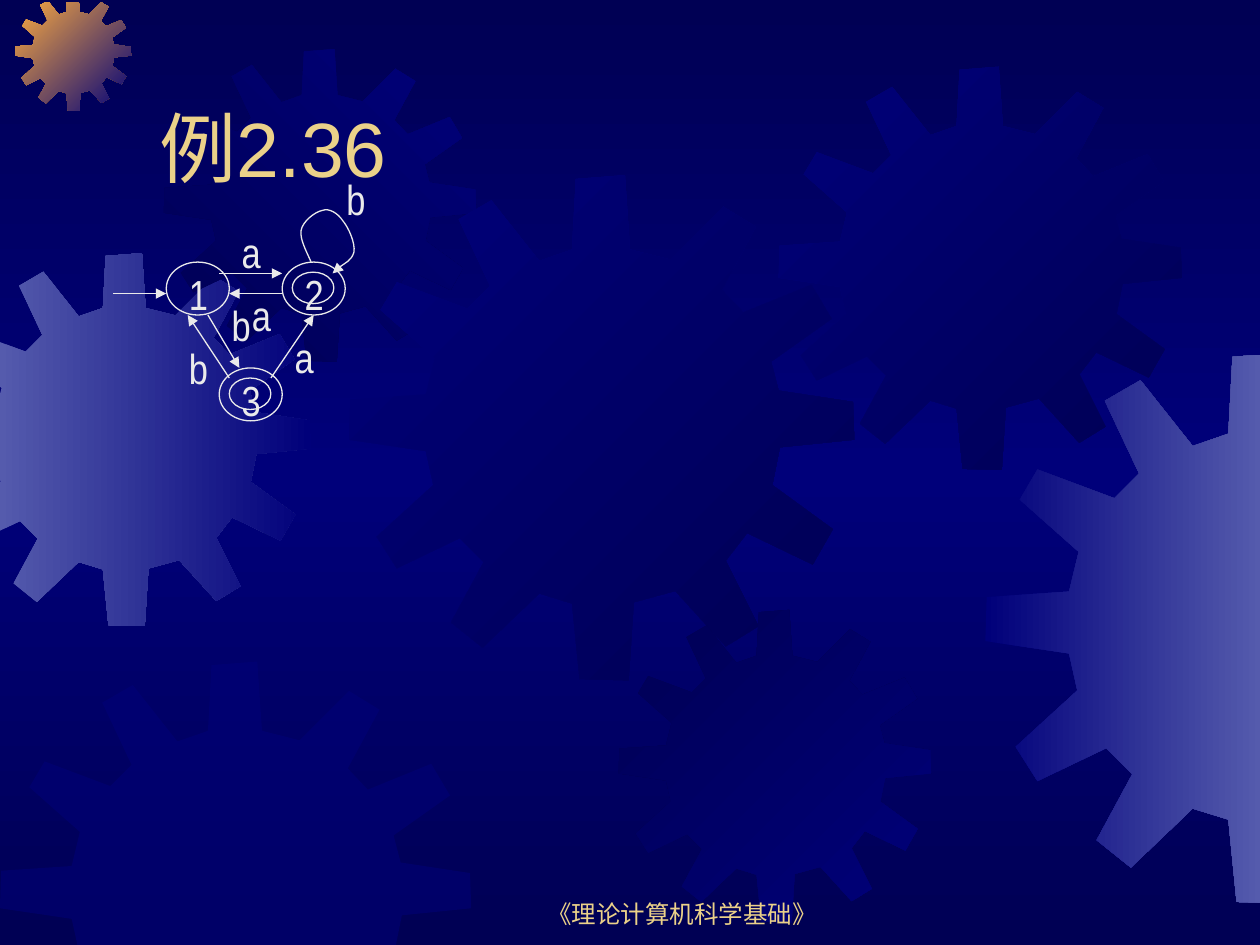
"""Build the slide with the three-state automaton of example 2.36 over a gear backdrop."""
import copy
from dataclasses import dataclass
from typing import Any, Optional

import lxml.etree
import pptx
import pptx.dml.color
import pptx.enum.shapes
import pptx.enum.text
import pptx.oxml.ns
import pptx.util

Inches = pptx.util.Inches
qn = pptx.oxml.ns.qn
Point = tuple[float, float]

NIGHT, NAVY, HAZE, ORANGE = "000054", "00007A", "555BAD", "FCAB40"
GOLD, CHALK = "EBD189", "EAEAEA"
BOUNDS = (-0.01, 0.02, 10.01, 7.54)
OUTLINE_SIZE = 401
OUTLINE: list[Point] = [
    (255, 67), (223, 59), (219, 0), (180, 3), (177, 59), (151, 68),
    (113, 20), (87, 35), (112, 88), (94, 106), (38, 85), (25, 107),
    (68, 145), (61, 174), (1, 178), (0, 210), (61, 219), (67, 246),
    (22, 287), (38, 312), (88, 288), (107, 307), (81, 355), (106, 375),
    (151, 332), (177, 340), (183, 400), (222, 401), (226, 339), (259, 330),
    (299, 374), (325, 358), (299, 306), (316, 284), (368, 309), (384, 281),
    (336, 246), (342, 216), (401, 210), (400, 180), (341, 171), (335, 148),
    (383, 114), (367, 87), (313, 109), (296, 91), (323, 41), (297, 25),
]


@dataclass
class Gear:
    left: float
    top: float
    size: float
    first: str
    last: Optional[str] = None
    angle: int = 0


@dataclass
class State:
    name: str
    left: float
    top: float
    accepting: bool


@dataclass
class Label:
    text: str
    left: float
    top: float
    width: float = 0.5
    height: float = 0.5


GEARS = [
    Gear(-0.49, 2.01, 2.96, HAZE, NAVY),
    Gear(0.12, -0.04, 0.92, ORANGE, NAVY, 45),
    Gear(1.3, 0.39, 2.48, NIGHT, NAVY, 315),
    Gear(2.77, 1.39, 4.01, NAVY, NIGHT, 45),
    Gear(0, 5.25, 3.74, NAVY),
    Gear(4.91, 4.84, 2.48, NIGHT, NAVY, 45),
    Gear(6.18, 0.53, 3.2, NAVY, NIGHT, 45),
    Gear(7.82, 2.8, 4.37, NAVY, HAZE),
]
STATES = [State("1", 1.32, 2.08, False), State("3", 1.74, 2.92, True), State("2", 2.24, 2.08, True)]
ARROWS = [
    ((0.9, 2.33), (1.32, 2.33)), ((1.74, 2.17), (2.24, 2.17)),
    ((2.24, 2.33), (1.82, 2.33)), ((1.65, 2.5), (1.9, 2.92)),
    ((1.82, 3), (1.49, 2.5)), ((2.15, 3), (2.49, 2.5)),
]
LOOP: list[Point] = [
    (2.47, 2.08), (2.43, 1.99), (2.38, 1.9), (2.39, 1.83),
    (2.4, 1.76), (2.5, 1.68), (2.56, 1.67), (2.61, 1.65), (2.68, 1.69), (2.72, 1.75),
    (2.77, 1.81), (2.82, 1.93), (2.81, 2), (2.79, 2.07), (2.65, 2.14), (2.64, 2.17),
]
LABELS = [
    Label("a", 1.82, 1.75), Label("a", 1.9, 2.25), Label("a", 2.24, 2.58),
    Label("b", 2.65, 1.33), Label("b", 1.74, 2.33), Label("b", 1.4, 2.67),
]
LABEL_FONT = {"name": "Arial Narrow", "size": pptx.util.Pt(24)}


def color(value: str) -> pptx.dml.color.RGBColor:
    return pptx.dml.color.RGBColor.from_string(value)


def clip(points: list[Point], axis: int, limit: float, sign: int) -> list[Point]:
    kept: list[Point] = []
    for start, end in zip(points[-1:] + points[:-1], points):
        start_in, end_in = (sign * (point[axis] - limit) >= 0 for point in (start, end))
        if start_in != end_in:
            share = (limit - start[axis]) / (end[axis] - start[axis])
            kept.append((start[0] + share * (end[0] - start[0]), start[1] + share * (end[1] - start[1])))
        if end_in:
            kept.append(end)
    return kept


def fill_gradient(fill: Any, colors: tuple[str, str], angle: int) -> None:
    fill.gradient()
    fill.gradient_angle = (360 - angle) % 360
    for stop, position, value in zip(fill.gradient_stops, (0, 1), colors):
        stop.position = position
        stop.color.rgb = color(value)


def draw_outline(shapes: Any, points: list[Point], close: bool) -> Any:
    corners = [(Inches(x), Inches(y)) for x, y in points]
    builder = shapes.build_freeform(*corners[0])
    builder.add_line_segments(corners[1:], close=close)
    shape = builder.convert_to_shape()
    shape.shadow.inherit = False
    return shape


def draw_gear(shapes: Any, gear: Gear) -> None:
    scale = gear.size / OUTLINE_SIZE
    points = [(gear.left + x * scale, gear.top + y * scale) for x, y in OUTLINE]
    for index, limit in enumerate(BOUNDS):
        points = clip(points, index % 2, limit, 1 if index < 2 else -1)
    shape = draw_outline(shapes, points, True)
    shape.line.fill.background()
    if gear.last:
        fill_gradient(shape.fill, (gear.first, gear.last), gear.angle)
    else:
        shape.fill.solid()
        shape.fill.fore_color.rgb = color(gear.first)
        tint = next(shape.element.spPr.iter(qn("a:srgbClr")))
        lxml.etree.SubElement(tint, qn("a:alpha"), val="50000")


def style_line(shape: Any, arrow: bool) -> None:
    shape.line.color.rgb = color(CHALK)
    shape.line.width = pptx.util.Pt(0.75)
    if arrow:
        lxml.etree.SubElement(shape.element.spPr.find(qn("a:ln")), qn("a:tailEnd"), type="triangle")


def draw_ellipse(shapes: Any, left: float, top: float, width: float, height: float) -> None:
    shape = shapes.add_shape(
        pptx.enum.shapes.MSO_SHAPE.OVAL, Inches(left), Inches(top), Inches(width), Inches(height))
    shape.shadow.inherit = False
    shape.fill.background()
    style_line(shape, False)


def draw_arrow(shapes: Any, start: Point, end: Point) -> None:
    ends = [Inches(value) for value in start + end]
    connector = shapes.add_connector(pptx.enum.shapes.MSO_CONNECTOR.STRAIGHT, *ends)
    style_line(connector, True)
    lxml.etree.SubElement(connector.element.spPr, qn("a:effectLst"))


def draw_loop(shapes: Any) -> None:
    shape = draw_outline(shapes, LOOP, False)
    shape.fill.background()
    style_line(shape, True)
    segments = list(shape.element.iter(qn("a:lnTo")))
    for index in range(0, len(segments), 3):
        curve = lxml.etree.Element(qn("a:cubicBezTo"))
        segments[index].addprevious(curve)
        for segment in segments[index:index + 3]:
            curve.append(segment[0])
            segment.getparent().remove(segment)


def draw_text(shapes: Any, label: Label, font: dict[str, Any], tone: str, frame: dict[str, Any],
              align: Any = pptx.enum.text.PP_ALIGN.LEFT) -> None:
    box = shapes.add_textbox(
        Inches(label.left), Inches(label.top), Inches(label.width), Inches(label.height))
    for name, value in {"word_wrap": True, **frame}.items():
        setattr(box.text_frame, name, value)
    para = box.text_frame.paragraphs[0]
    para.alignment = align
    span = para.add_run()
    span.text = label.text
    for name, value in font.items():
        setattr(span.font, name, value)
    span.font.color.rgb = color(tone)


def draw_automaton(shapes: Any) -> None:
    grow = {"auto_size": pptx.enum.text.MSO_AUTO_SIZE.SHAPE_TO_FIT_TEXT}
    for state in STATES:
        draw_ellipse(shapes, state.left, state.top, 0.5, 0.42)
        name = Label(state.name, state.left + 0.08, state.top, 0.58)
        draw_text(shapes, name, LABEL_FONT, CHALK, grow)
        if state.accepting:
            draw_ellipse(shapes, state.left + 0.08, state.top + 0.08, 0.33, 0.25)
    for start, end in ARROWS:
        draw_arrow(shapes, start, end)
    draw_loop(shapes)
    for label in LABELS:
        draw_text(shapes, label, LABEL_FONT, CHALK, grow)


def main() -> None:
    deck = pptx.Presentation()
    deck.slide_width, deck.slide_height = Inches(10), Inches(7.5)
    page = deck.slides.add_slide(deck.slide_layouts[6])
    fill_gradient(page.background.fill, (NIGHT, NIGHT), 90)
    first_stop = next(page.element.iter(qn("a:gs")))
    first_stop.addnext(copy.deepcopy(first_stop))
    middle = page.background.fill.gradient_stops[1]
    middle.position = 0.5
    middle.color.rgb = color(NAVY)
    for gear in GEARS:
        draw_gear(page.shapes, gear)
    bottom = {"vertical_anchor": pptx.enum.text.MSO_ANCHOR.BOTTOM}
    draw_text(page.shapes, Label("《理论计算机科学基础》", 3.83, 6.92, 3.17), {"name": "Arial", "size": pptx.util.Pt(14)},
              GOLD, bottom, pptx.enum.text.PP_ALIGN.CENTER)
    draw_text(page.shapes, Label("例2.36", 1.17, 0.33, 8.5, 1.25), {"name": "Arial", "size": pptx.util.Pt(44)},
              GOLD, bottom)
    draw_automaton(page.shapes.add_group_shape().shapes)
    deck.save("out.pptx")


if __name__ == "__main__":
    main()
